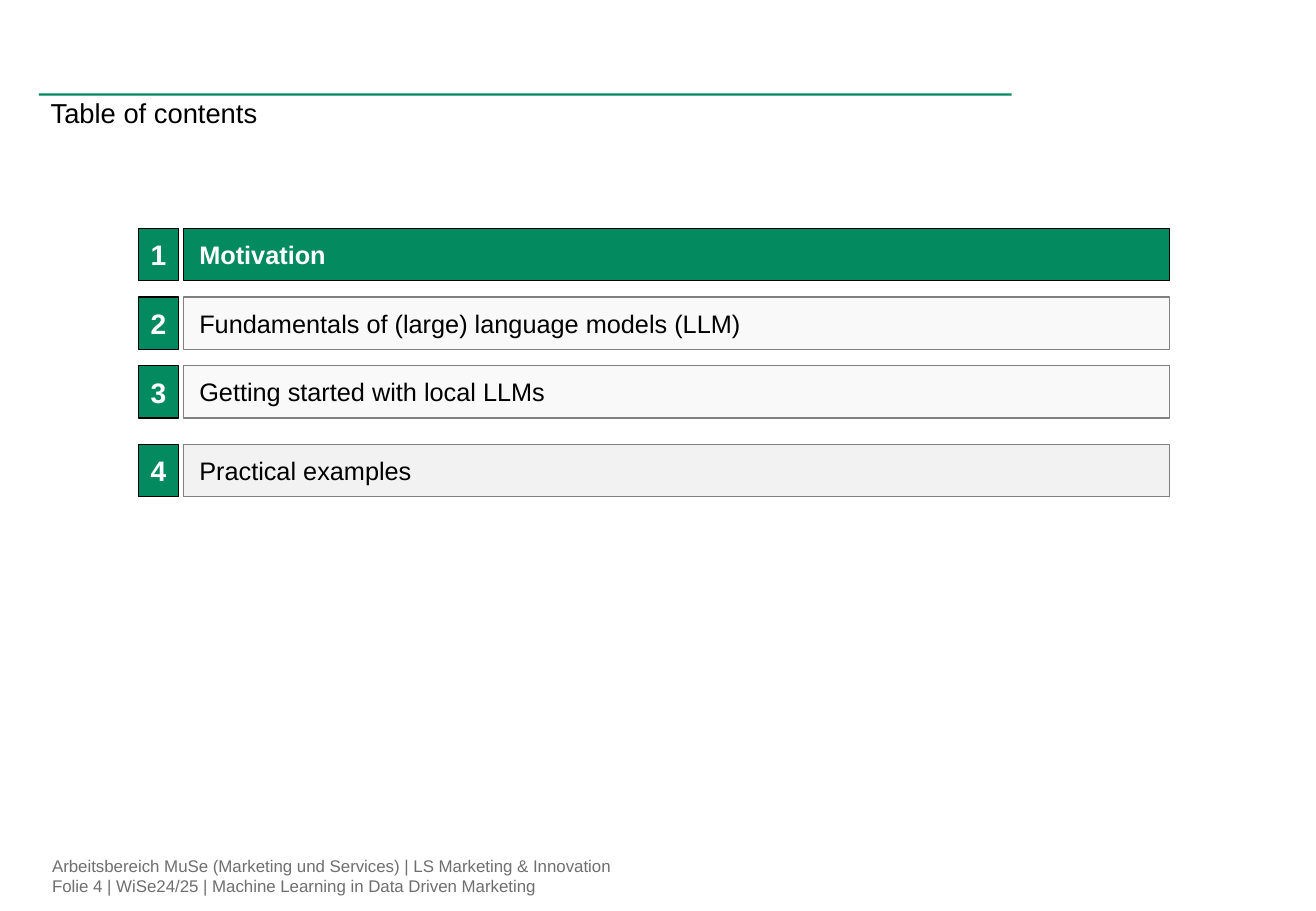
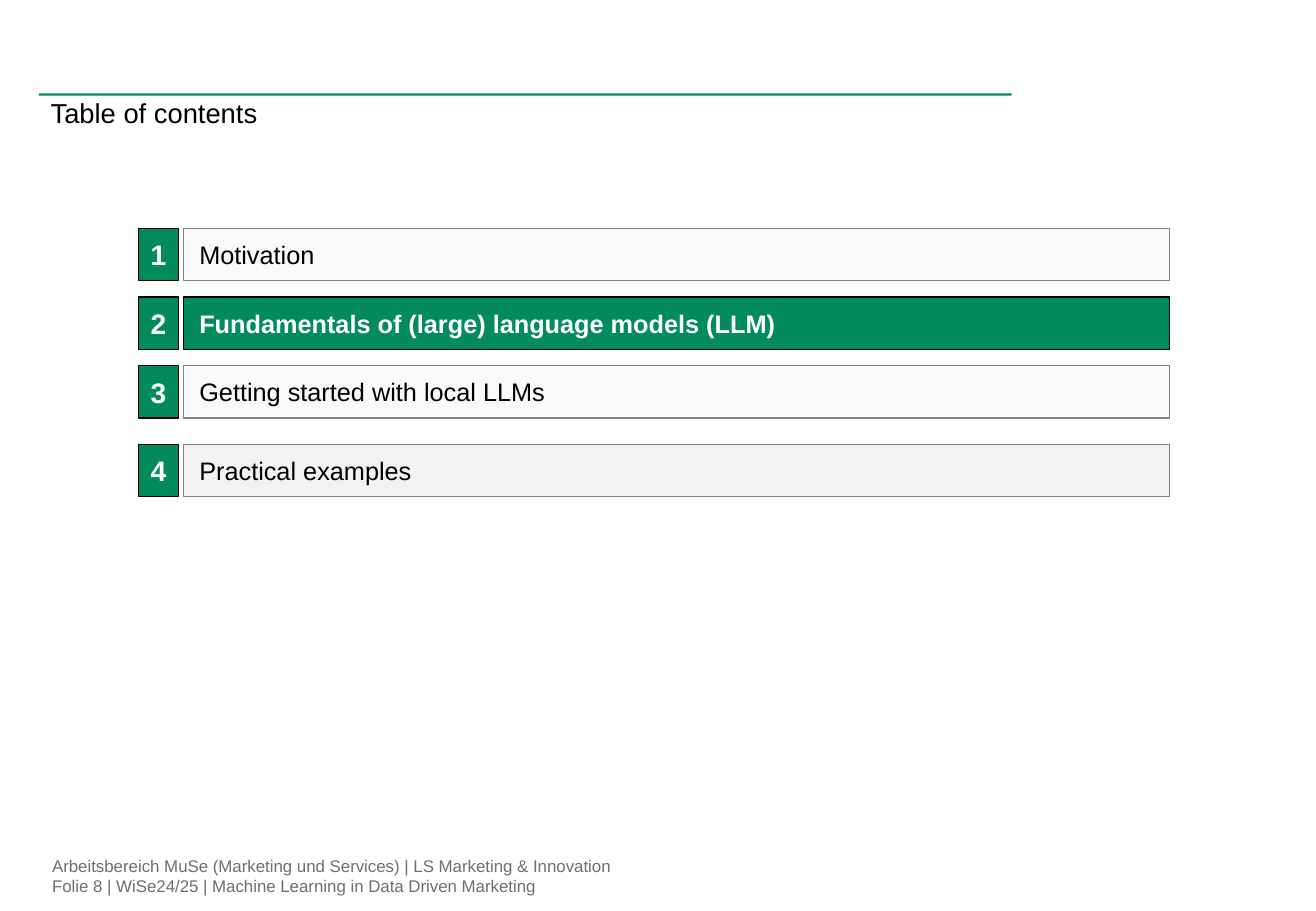
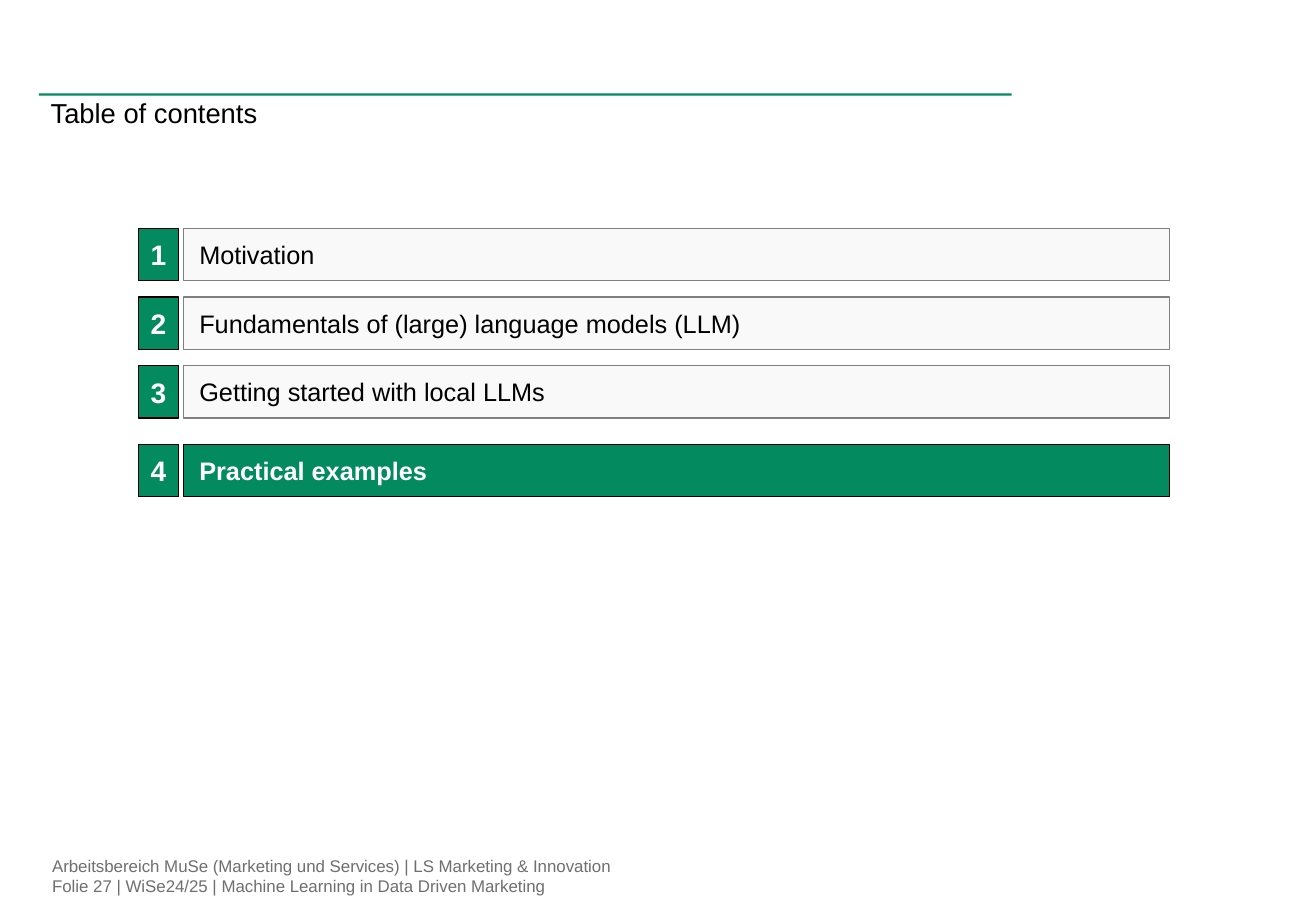
from collections import namedtuple

from pptx import Presentation
from pptx.dml.color import RGBColor
from pptx.enum.shapes import MSO_SHAPE as Preset
from pptx.enum.text import MSO_ANCHOR as Anchor, MSO_AUTO_SIZE as AutoSize, PP_ALIGN as Align
from pptx.util import Pt

Box = namedtuple("Box", "left top width height")
Chapter = namedtuple("Chapter", "title fill gap_before")

COLORS = {
    "green": "038A5E",
    "black": "000000",
    "white": "FFFFFF",
    "border": "808080",
    "pale": "F9F9F9",
    "light": "F2F2F2",
    "footer": "6F6F6F",
}

PAGE = Box(0, 0, 780, 540)
TITLE = Box(23, 32.4, 576.7, 41.8)
RULE = Box(23, 55.4, 576.7, 1.4)
AGENDA = Box(82, 135.4, 611.3, 159.1)
FOOTER = Box(22.3, 504, 396, 30.2)

ROW_HEIGHT, ROW_GAP = 31, 9.7
NUMBER_WIDTH, NUMBER_GAP = 23.8, 2.9

CHAPTERS = [
    Chapter("Motivation", "pale", 0),
    Chapter("Fundamentals of (large) language models (LLM)", "pale", ROW_GAP),
    Chapter("Getting started with local LLMs", "pale", ROW_GAP),
    Chapter("Practical examples", "light", 15.6),
]

# Page number shown in the footer, and the chapter highlighted on that page
AGENDA_PAGES = [(4, 1), (8, 2), (27, 4)]

TITLE_FONT = {"name": "Arial", "size": Pt(16.2), "bold": False}
NUMBER_FONT = {"name": "Arial", "size": Pt(16.7), "bold": True}
CHAPTER_FONT = {"name": "Arial", "size": Pt(15), "bold": False}
CURRENT_FONT = {**CHAPTER_FONT, "bold": True}
FOOTER_FONT = {"name": "Arial", "size": Pt(10), "bold": False}


def rgb(color):
    return RGBColor.from_string(COLORS[color])


def points(box):
    return [Pt(length) for length in box]


def set_attributes(target, values):
    for attribute, value in values.items():
        setattr(target, attribute, value)


def write(shape, text, font, color, insets, align=Align.LEFT, anchor=Anchor.MIDDLE):
    """Fill a shape with one formatted paragraph; insets run left, top, right, bottom."""
    frame = shape.text_frame
    sides = ("margin_left", "margin_top", "margin_right", "margin_bottom")
    set_attributes(frame, {
        "text": text,
        "word_wrap": True,
        "auto_size": AutoSize.NONE,
        "vertical_anchor": anchor,
        **dict(zip(sides, points(insets))),
    })
    paragraph = frame.paragraphs[0]
    paragraph.alignment = align
    for run in paragraph.runs:
        set_attributes(run.font, font)
        run.font.color.rgb = rgb(color)


def add_bar(slide, box, fill, border=None):
    bar = slide.shapes.add_shape(Preset.RECTANGLE, *points(box))
    bar.shadow.inherit = False
    bar.fill.solid()
    bar.fill.fore_color.rgb = rgb(fill)
    if border:
        bar.line.color.rgb = rgb(border)
        bar.line.width = Pt(0.75)
    else:
        bar.line.fill.background()
    return bar


def add_header(slide, text, box, rule):
    add_bar(slide, rule, "green")
    title = slide.shapes.title
    set_attributes(title, dict(zip(Box._fields, points(box))))
    write(title, text, TITLE_FONT, "black", (7, 24.6, 7, 0), anchor=Anchor.TOP)


def add_footer(slide, page_number, box):
    footer = slide.shapes.add_textbox(*points(box))
    text = (
        "Arbeitsbereich MuSe (Marketing und Services) | LS Marketing & Innovation\v"
        f"Folie {page_number} | WiSe24/25 | Machine Learning in Data Driven Marketing"
    )
    write(footer, text, FOOTER_FONT, "footer", (8.6, 2.9, 8.6, 2.9))


def add_agenda_row(slide, number, chapter, is_current, box):
    number_box = box._replace(width=NUMBER_WIDTH)
    offset = NUMBER_WIDTH + NUMBER_GAP
    chapter_box = box._replace(left=box.left + offset, width=box.width - offset)

    number_bar = add_bar(slide, number_box, "green", "black")
    write(number_bar, str(number), NUMBER_FONT, "white", (2.2, 2.2, 2.2, 2.2), Align.CENTER)

    if is_current:
        fill, border, font, color = "green", "black", CURRENT_FONT, "white"
    else:
        fill, border, font, color = chapter.fill, "border", CHAPTER_FONT, "black"
    chapter_bar = add_bar(slide, chapter_box, fill, border)
    write(chapter_bar, chapter.title, font, color, (9.4, 2.2, 2.2, 2.2))


def add_agenda(slide, current, box):
    top = box.top
    for number, chapter in enumerate(CHAPTERS, start=1):
        top += chapter.gap_before
        row = box._replace(top=top, height=ROW_HEIGHT)
        add_agenda_row(slide, number, chapter, number == current, row)
        top += ROW_HEIGHT


def add_agenda_slide(deck, page_number, current):
    title_only = deck.slide_layouts[5]
    slide = deck.slides.add_slide(title_only)
    add_footer(slide, page_number, FOOTER)
    add_header(slide, "Table of contents", TITLE, RULE)
    add_agenda(slide, current, AGENDA)


def main():
    deck = Presentation()
    deck.slide_width, deck.slide_height = Pt(PAGE.width), Pt(PAGE.height)
    for page_number, current in AGENDA_PAGES:
        add_agenda_slide(deck, page_number, current)
    deck.save("out.pptx")


if __name__ == "__main__":
    main()
